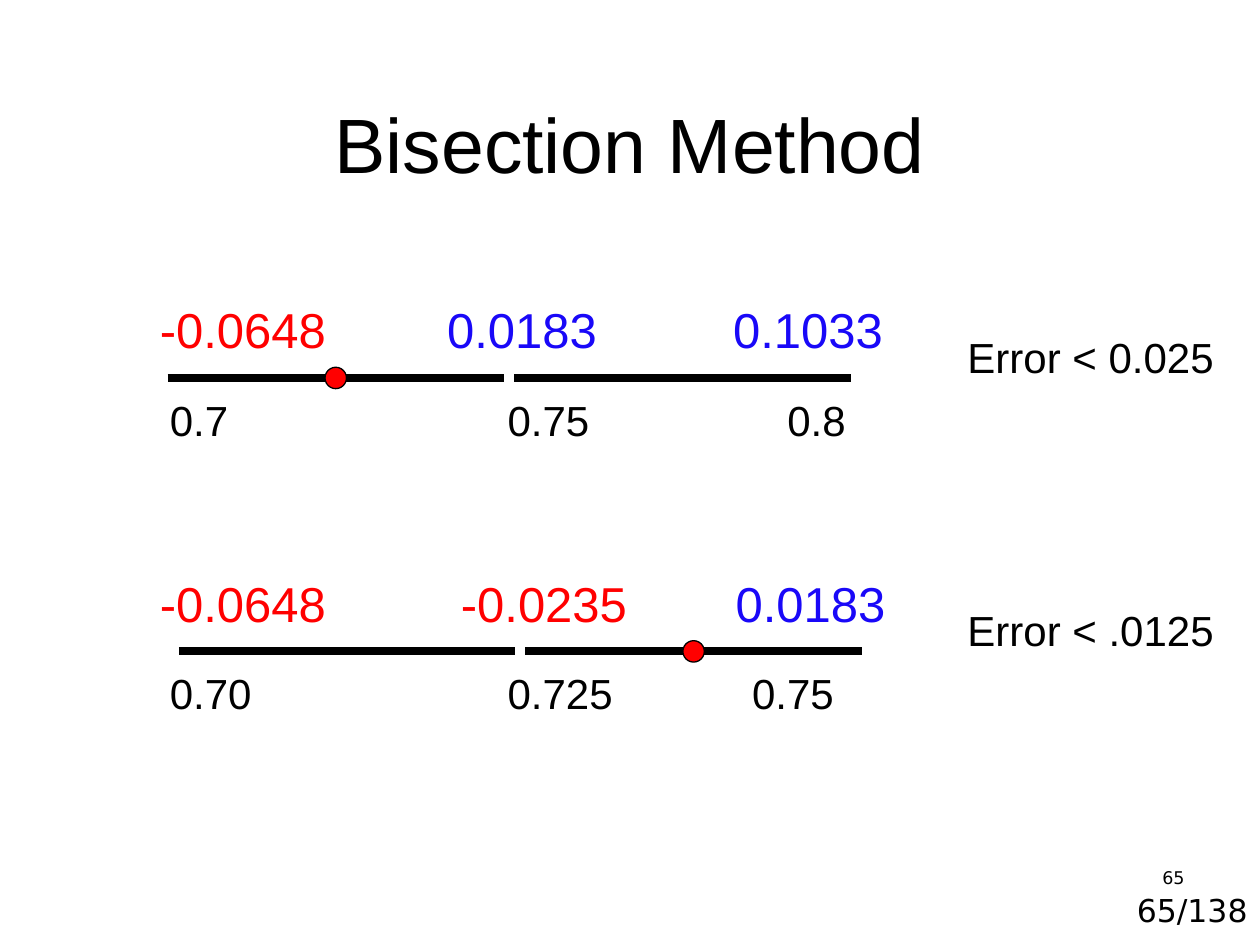
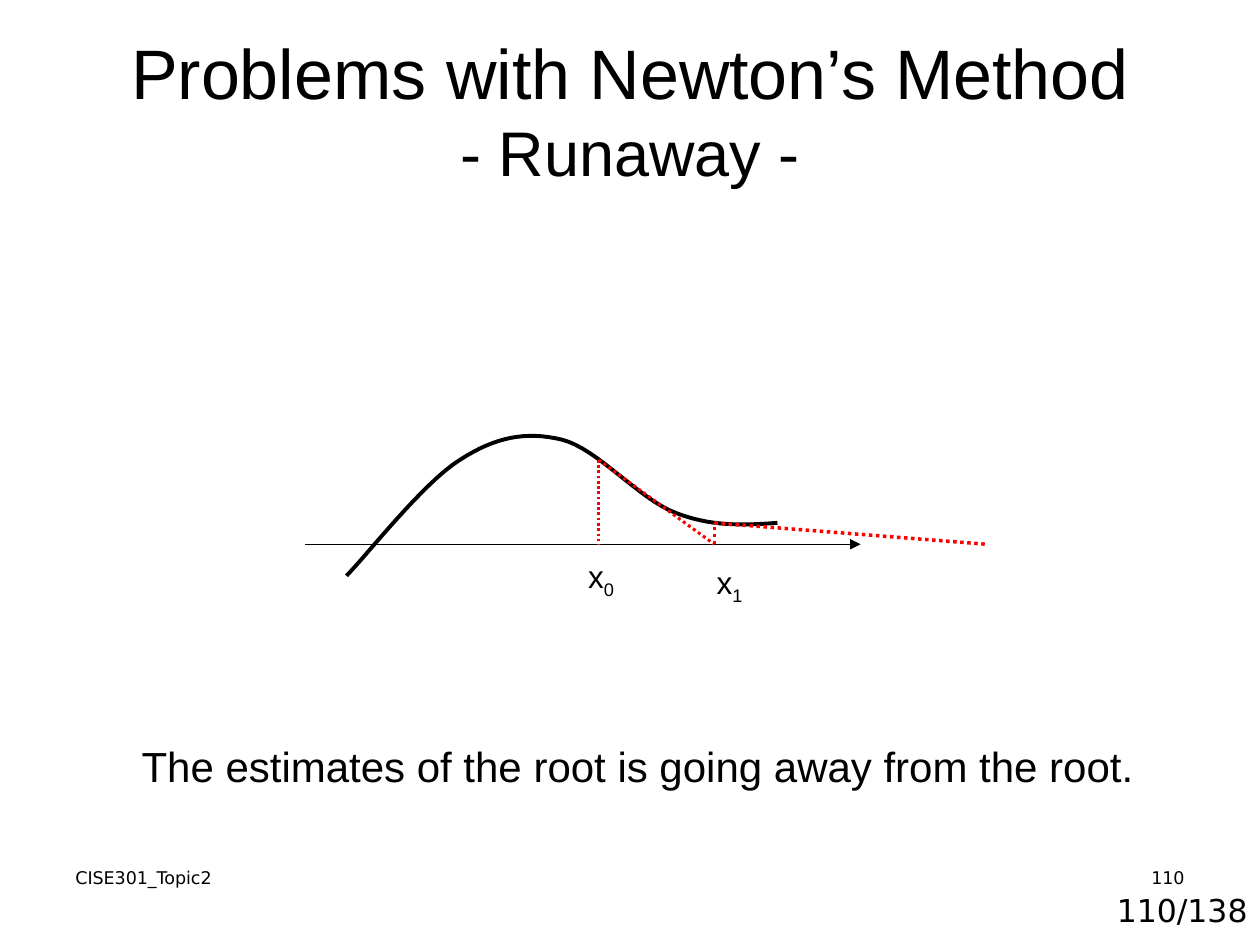
from lxml.etree import SubElement as Sub
from pptx import Presentation
from pptx.dml.color import RGBColor as RGB
from pptx.enum.dml import MSO_LINE as Dash
from pptx.enum.shapes import MSO_CONNECTOR as Conn, MSO_SHAPE as Shape
from pptx.enum.text import MSO_ANCHOR as Anchor, MSO_AUTO_SIZE as Fit, PP_ALIGN as Align
from pptx.oxml.ns import qn
from pptx.util import Inches, Pt

BLACK = RGB(0, 0, 0)
RED = RGB(0xFF, 0, 0)
BLUE = RGB(0x19, 0x08, 0xF8)
SANS, FOOT = "Arial", "DejaVu Sans"
TOTAL = 138


# Shared helpers
def put(para, text, size, color=BLACK, face=SANS):
    run = para.add_run()
    run.text = text
    for key, val in {"size": Pt(size), "name": face}.items():
        setattr(run.font, key, val)
    run.font.color.rgb = color
    return run


def add_box(slide, left, top, width, height, align=Align.LEFT):
    frame = slide.shapes.add_textbox(*map(Inches, (left, top, width, height))).text_frame
    frame.word_wrap = True
    para = frame.paragraphs[0]
    para.alignment = align
    return para


def set_tabs(para, stops):
    tabs = Sub(para._p.get_or_add_pPr(), qn("a:tabLst"))
    for stop in stops:
        Sub(tabs, qn("a:tab"), pos=str(Inches(stop)), algn="l")


def add_line(slide, start, end, width, color=BLACK, dash=None, arrow=False):
    ends = map(Inches, (*start, *end))
    conn = slide.shapes.add_connector(Conn.STRAIGHT, *ends)
    line = conn.line
    line.width = Pt(width)
    line.color.rgb = color
    if dash:
        line.dash_style = dash
    if arrow:
        Sub(line._get_or_add_ln(), qn("a:tailEnd"), type="triangle")
    Sub(conn._element.spPr, qn("a:effectLst"))


def add_title(slide, *lines):
    title = slide.shapes.title
    box = {"left": 0.5, "top": 0.3, "width": 9, "height": 1.25}
    for key, val in box.items():
        setattr(title, key, Inches(val))
    frame = title.text_frame
    frame.auto_size = Fit.NONE
    frame.vertical_anchor = Anchor.BOTTOM
    para = frame.paragraphs[0]
    para.alignment = Align.CENTER
    for i, (text, size) in enumerate(lines):
        if i:
            para.add_line_break()
        put(para, text, size)


def add_foot(slide, page, note=None):
    put(add_box(slide, 8.42, 7.02, 1.58, 0.48, Align.RIGHT), f"{page}/{TOTAL}", 18, face=FOOT)
    put(add_box(slide, 7.17, 6.83, 2.33, 0.5, Align.RIGHT), str(page), 10, face=FOOT)
    if note:
        put(add_box(slide, 0.5, 6.83, 2.33, 0.5), note, 10, face=FOOT)


# One bisection step: signs above, interval halves, points below, error bound
def add_step(slide, left, top, shift, half, values, points, bound):
    texts, stops = values
    para = add_box(slide, left, top, 6, 0.57)
    set_tabs(para, stops)
    for i, text in enumerate(texts):
        color = RED if text.startswith("-") else BLUE
        put(para, "\t" * (i > 0) + text, 28, color)

    texts, stops = points
    para = add_box(slide, left + 0.08, top + 0.75, 5.58, 0.5)
    set_tabs(para, stops)
    put(para, "\t".join(texts), 24)

    put(add_box(slide, left + 6.41, top + 0.25, 2.42, 0.5), bound, 24)

    span, gap, dot, y = 2.67, 0.08, 0.17, top + 0.67
    starts = [left + shift + i * (span + gap) for i in range(2)]
    for x in starts:
        add_line(slide, (x, y), (x + span, y), 4.5)
    mid = starts[half] + span / 2
    mark = slide.shapes.add_shape(
        Shape.OVAL, *map(Inches, (mid - dot / 2, y - dot / 2, dot, dot)))
    mark.shadow.inherit = False
    mark.fill.solid()
    mark.fill.fore_color.rgb = RED
    mark.line.color.rgb = BLACK
    mark.line.width = Pt(0.75)


def add_curve(slide, left, top, knots, steps=16):
    # Knots: a start point, then two handles and an end for each arc
    pts = [knots[0]]
    for i in range(0, len(knots) - 1, 3):
        arc = knots[i:i + 4]
        for n in range(1, steps + 1):
            t = n / steps
            mix = ((1 - t) ** 3, 3 * t * (1 - t) ** 2, 3 * t * t * (1 - t), t ** 3)
            pts.append(tuple(sum(m * p[k] for m, p in zip(mix, arc)) for k in (0, 1)))
    pts = [(Inches(left + x), Inches(top + y)) for x, y in pts]
    form = slide.shapes.build_freeform(*pts[0])
    form.add_line_segments(pts[1:], close=False)
    curve = form.convert_to_shape()
    curve.shadow.inherit = False
    curve.fill.background()
    curve.line.color.rgb = BLACK
    curve.line.width = Pt(2.25)


# Plot of the runaway iteration
def add_plot(slide, left, top):
    add_curve(slide, left, top, [
        (3.75, 0.73), (3.48, 0.75), (3.22, 0.76), (2.94, 0.65),
        (2.65, 0.54), (2.32, 0.14), (2.04, 0.07),
        (1.75, 0), (1.51, 0.05), (1.23, 0.23),
        (0.94, 0.41), (0.48, 1), (0.33, 1.15)])

    def at(x, y):
        return left + x, top + y

    axis = 0.9
    add_line(slide, at(0, axis), at(4.41, axis), 0.75, arrow=True)
    first, second = (2.33, 0.23), (3.25, 0.73)
    for start, end, width in (
            (first, (first[0], axis), 1.5),
            (first, (second[0], axis), 1.75),
            ((second[0], axis), second, 2),
            (second, (5.41, axis), 2)):
        add_line(slide, at(*start), at(*end), width, RED, Dash.ROUND_DOT)

    # Labels, wide enough to keep each subscript beside its letter
    for sub, x, y in (("0", 2.15, 0.95), ("1", 3.17, 1)):
        para = add_box(slide, *at(x, y), 0.6, 0.44)
        put(para, "x", 18)
        put(para, sub, 18).font._element.set("baseline", "-25000")


def make_bisect(slide):
    add_title(slide, ("Bisection Method", 44))
    add_step(slide, 1.17, 2.33, 0.16, 0,
             (("-0.0648", "0.0183", "0.1033"), (2.28, 4.55)),
             (("0.7", "0.75", "0.8"), (2.68, 4.9)), "Error < 0.025")
    add_step(slide, 1.17, 4.5, 0.25, 1,
             (("-0.0648", "-0.0235", "0.0183"), (2.39, 4.57)),
             (("0.70", "0.725", "0.75"), (2.68, 4.62)), "Error < .0125")
    add_foot(slide, 65)


def make_newton(slide):
    add_title(slide, ("Problems with Newton’s Method", 40), ("- Runaway -", 36))
    add_plot(slide, 2.42, 3.42)
    put(add_box(slide, 0.85, 5.83, 8.42, 0.5, Align.CENTER),
        "The estimates of the root is going away from the root.", 24)
    add_foot(slide, 110, "CISE301_Topic2")


def main():
    deck = Presentation()
    deck.slide_width, deck.slide_height = Inches(10), Inches(7.5)
    for make in (make_bisect, make_newton):
        make(deck.slides.add_slide(deck.slide_layouts[5]))
    deck.save("out.pptx")


if __name__ == "__main__":
    main()
